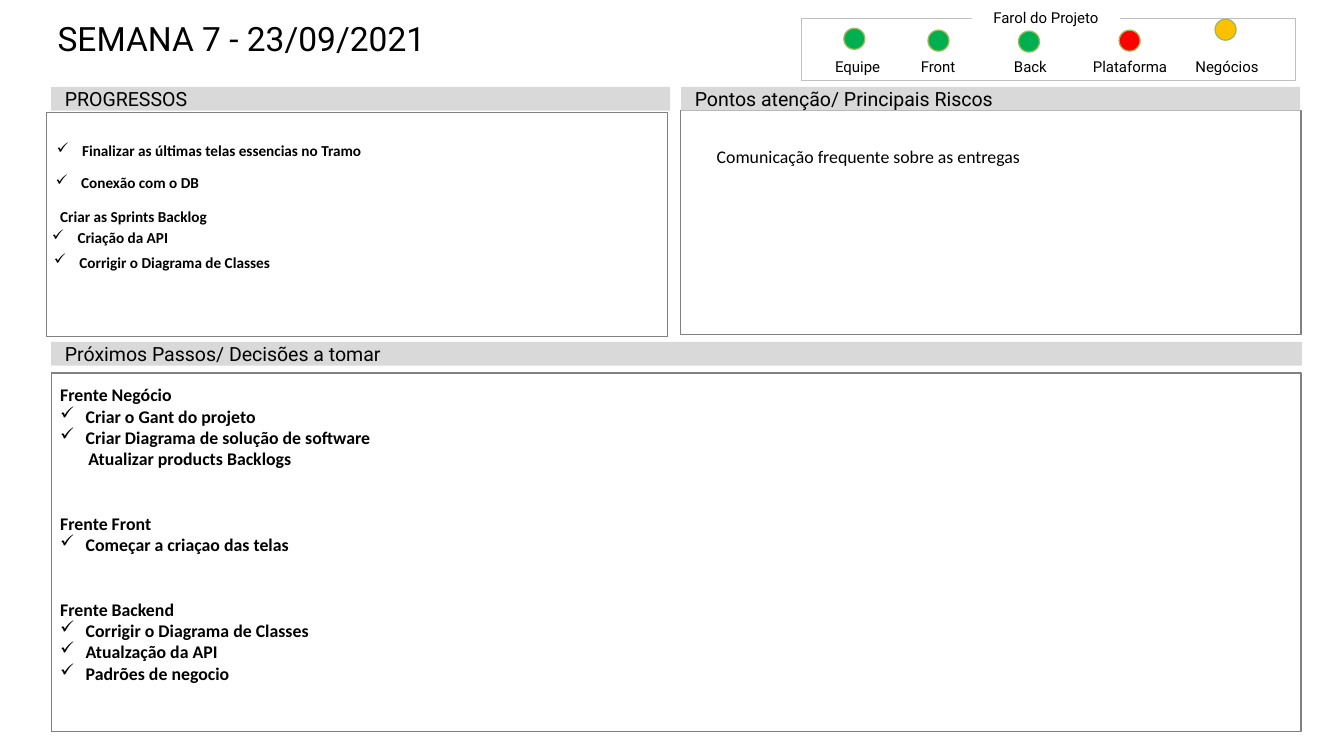
import pptx
import pptx.util
import pptx.dml.color
import pptx.enum.shapes
import pptx.enum.text
import pptx.oxml.ns
import lxml.etree

Inches = pptx.util.Inches
Pt = pptx.util.Pt
RGBColor = pptx.dml.color.RGBColor
Shape = pptx.enum.shapes.MSO_SHAPE
Anchor = pptx.enum.text.MSO_ANCHOR
Align = pptx.enum.text.PP_ALIGN

BLACK = RGBColor(0, 0, 0)
WHITE = RGBColor(255, 255, 255)
HEADER_GRAY = RGBColor(0xD9, 0xD9, 0xD9)
PANEL_LINE = RGBColor(0x80, 0x80, 0x80)
LEGEND_LINE = RGBColor(0xBF, 0xBF, 0xBF)
LIGHT_LINE = RGBColor(0x9B, 0xBB, 0x59)
GREEN = RGBColor(0, 0xB0, 0x50)
RED = RGBColor(255, 0, 0)
AMBER = RGBColor(255, 0xC0, 0)

deck = pptx.Presentation()
deck.slide_width, deck.slide_height = Inches(14.7), Inches(8.27)
page = deck.slides.add_slide(deck.slide_layouts[5])


def add_box(kind, left, top, width, height, fill=None, line=None, weight=1):
    box = page.shapes.add_shape(kind, Inches(left), Inches(top), Inches(width), Inches(height))
    box.shadow.inherit = False
    for paint, color in ((box.fill, fill), (box.line.fill, line)):
        if color is None:
            paint.background()
        else:
            paint.solid()
            paint.fore_color.rgb = color
    if line is not None:
        box.line.width = Pt(weight)
    return box


def write(box, lines, font, size, bold=False, align=Align.LEFT, anchor=Anchor.TOP,
          margins=(0.1, 0.05, 0.1, 0.05), wrap=True):
    frame = box.text_frame
    frame.word_wrap = wrap
    frame.vertical_anchor = anchor
    frame.auto_size = pptx.enum.text.MSO_AUTO_SIZE.NONE
    frame.margin_left, frame.margin_top, frame.margin_right, frame.margin_bottom = map(Inches, margins)
    for index, (text, indent, bullet, before) in enumerate(lines):
        para = frame.add_paragraph() if index else frame.paragraphs[0]
        para.text = text
        para.alignment = align
        para.space_before = Pt(before)
        para.font.name, para.font.size, para.font.bold = font, Pt(size), bold
        para.font.color.rgb = BLACK
        settings = para._p.get_or_add_pPr()
        settings.set("marL", str(Inches(indent)))
        settings.set("indent", str(-Inches(indent) if bullet else 0))
        if bullet:
            mark = lxml.etree.Element(pptx.oxml.ns.qn("a:buChar"), char="✓")
            settings.find(pptx.oxml.ns.qn("a:defRPr")).addprevious(mark)


title = page.shapes.title
title.left, title.top, title.width, title.height = map(Inches, (0.51, 0.2, 13.23, 0.88))
write(title, [("SEMANA 7 - 23/09/2021", 0, False, 0)], "Roboto", 26.4, margins=(0.12, 0, 0.12, 0))

for left, top, width, height in ((7.44, 1.21, 6.79, 2.45), (0.51, 1.23, 6.79, 2.45)):
    add_box(Shape.RECTANGLE, left, top, width, height, line=PANEL_LINE)

headers = (
    ("PROGRESSOS", 0.56, 0.95, 6.77),
    ("Pontos atenção/ Principais Riscos", 7.45, 0.95, 6.77),
    ("Próximos Passos/ Decisões a tomar", 0.56, 3.74, 13.68),
)
for text, left, top, width in headers:
    header = add_box(Shape.RECTANGLE, left, top, width, 0.26, fill=HEADER_GRAY)
    write(header, [(text, 0, False, 0)], "Roboto", 15.4, anchor=Anchor.MIDDLE,
          margins=(0.15, 0.07, 0.15, 0.07))

caption_style = dict(font="Roboto", size=11.8, align=Align.CENTER, anchor=Anchor.BOTTOM,
                     margins=(0.06, 0.06, 0.06, 0), wrap=False)
add_box(Shape.RECTANGLE, 8.77, 0.2, 5.4, 0.68, line=LEGEND_LINE, weight=0.5)
legend_caption = add_box(Shape.RECTANGLE, 10.63, 0.06, 1.62, 0.23, fill=WHITE)
write(legend_caption, [("Farol do Projeto", 0, False, 0)], **caption_style)

lights = (
    ("Equipe", 8.89, 9.23, 0.31, GREEN),
    ("Front", 9.77, 10.15, 0.33, GREEN),
    ("Back", 10.78, 11.14, 0.34, GREEN),
    ("Plataforma", 11.87, 12.24, 0.33, RED),
    ("Negócios", 12.93, 13.29, 0.21, AMBER),
)
for text, label_left, light_left, light_top, color in lights:
    add_box(Shape.OVAL, light_left, light_top, 0.23, 0.23, fill=color, line=LIGHT_LINE)
    label = page.shapes.add_textbox(Inches(label_left), Inches(0.63), Inches(0.98), Inches(0.2))
    write(label, [(text, 0, False, 0)], **caption_style)

fronts = (
    ("Frente Negócio", ("Criar o Gant do projeto", "Criar Diagrama de solução de software"),
     ("Atualizar products Backlogs",)),
    ("Frente Front", ("Começar a criaçao das telas",), ()),
    ("Frente Backend", ("Corrigir o Diagrama de Classes", "Atualzação da API", "Padrões de negocio"), ()),
)
steps = []
for heading, checked, plain in fronts:
    steps.append((heading, 0, False, 34 if steps else 0))
    steps += [(text, 0.28, True, 0) for text in checked]
    steps += [(text, 0.31, False, 0) for text in plain]
next_steps = add_box(Shape.RECTANGLE, 0.56, 4.08, 13.67, 3.92, line=PANEL_LINE)
write(next_steps, steps, "Calibri", 14, bold=True, margins=(0.1, 0.12, 0.1, 0.05))

risk = page.shapes.add_textbox(Inches(7.74), Inches(1.54), Inches(5.19), Inches(0.34))
write(risk, [("Comunicação frequente sobre as entregas", 0, False, 0)], "Calibri", 14)

progress = (
    ("Finalizar as últimas telas essencias no Tramo", 0.52, 1.5, True),
    ("Conexão com o DB", 0.51, 1.85, True),
    ("Criar as Sprints Backlog", 0.56, 2.22, False),
    ("Criação da API", 0.47, 2.45, True),
    ("Corrigir o Diagrama de Classes", 0.49, 2.72, True),
)
for text, left, top, checked in progress:
    item = page.shapes.add_textbox(Inches(left), Inches(top), Inches(6.7), Inches(0.3))
    write(item, [(text, 0.28 if checked else 0, checked, 0)], "Calibri", 12, bold=True)

deck.save("out.pptx")
